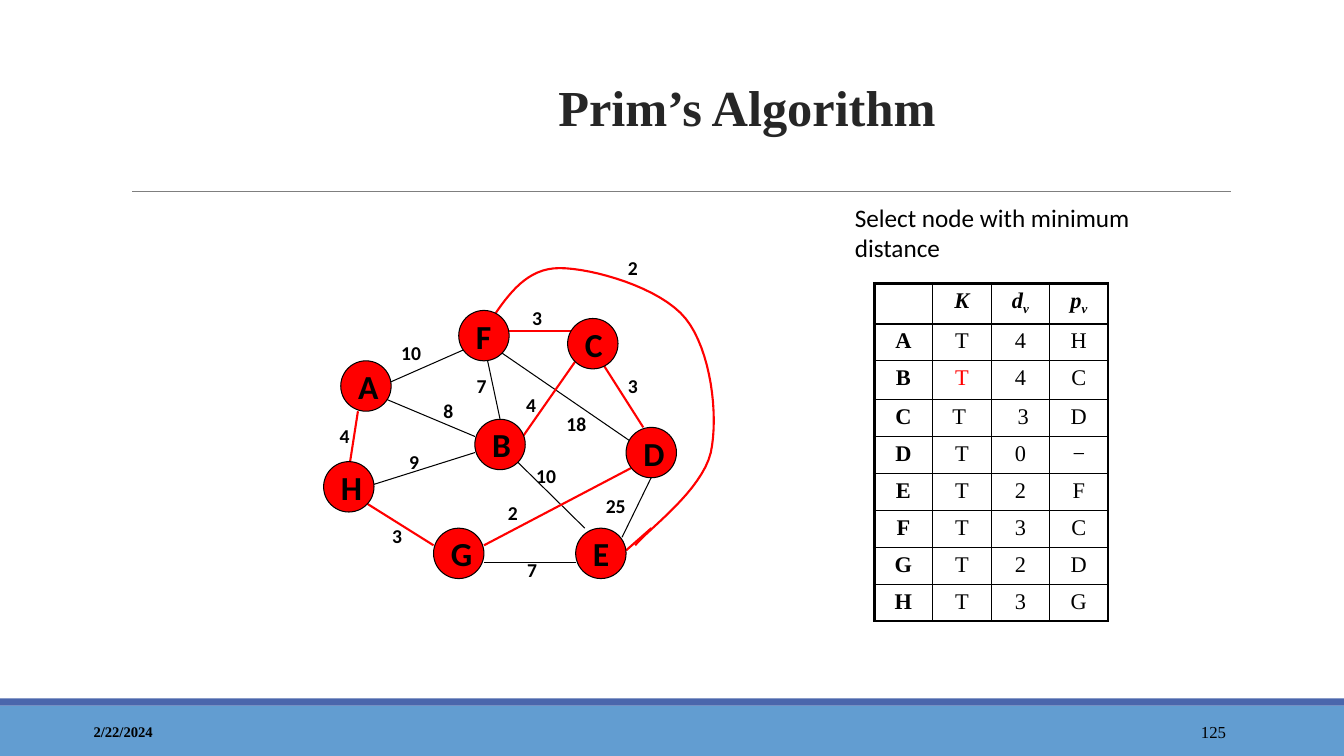
from dataclasses import dataclass

from lxml import etree
from pptx import Presentation
from pptx.dml.color import RGBColor
from pptx.enum.shapes import MSO_CONNECTOR, MSO_SHAPE
from pptx.enum.text import MSO_ANCHOR, PP_ALIGN
from pptx.oxml.ns import qn
from pptx.util import Inches, Pt

RECT, OVAL = MSO_SHAPE.RECTANGLE, MSO_SHAPE.OVAL
STRAIGHT = MSO_CONNECTOR.STRAIGHT
LEFT, CENTER, RIGHT = PP_ALIGN.LEFT, PP_ALIGN.CENTER, PP_ALIGN.RIGHT
TOP, MIDDLE, BOTTOM = MSO_ANCHOR.TOP, MSO_ANCHOR.MIDDLE, MSO_ANCHOR.BOTTOM


@dataclass(frozen=True)
class Theme:
    black: str = "000000"
    red: str = "FF0000"
    title: str = "262626"
    rule: str = "7F7F7F"
    footer: str = "629DD1"
    footer_edge: str = "4A66AC"
    serif: str = "Times New Roman"
    sans: str = "Calibri"
    title_size: float = 36
    node_size: float = 24
    note_size: float = 18
    table_size: float = 16
    weight_size: float = 14
    number_size: float = 12
    date_size: float = 10.5
    thin: float = 0.75
    tree: float = 1.5
    grid: float = 1
    frame: float = 2.25


THEME = Theme()
NODE = 0.5

# Left and top of each node
NODES = {
    "A": (3.38, 3.58), "H": (3.21, 4.58), "B": (4.71, 4.16), "F": (4.55, 3.08),
    "E": (5.71, 5.24), "D": (6.21, 4.24), "C": (5.63, 3.16), "G": (4.3, 5.24),
}

# x1, y1, x2, y2
PLAIN_EDGES = [
    (6.58, 4.49, 6.17, 5.33), (4.8, 3.41, 4.96, 4.16), (6.3, 4.41, 4.96, 3.49),
    (3.63, 4.83, 4.71, 4.49), (3.71, 3.91, 4.71, 4.33), (5.13, 4.58, 5.8, 5.24),
    (5.71, 5.58, 4.8, 5.58), (3.85, 3.8, 4.6, 3.47),
]
TREE_EDGES = [
    (5.13, 4.41, 5.71, 3.58), (4.8, 5.41, 6.38, 4.58), (3.46, 4.66, 3.55, 4.08),
    (5.01, 3.28, 5.8, 3.28), (5.96, 3.58, 6.38, 4.24), (4.3, 5.41, 3.63, 4.99),
    (6.46, 5.24, 6.21, 5.46),
]
# Start point, then two control points and an end point per segment
LOOP_START = (4.88, 3.16)
LOOP = [
    ((5.05, 2.91), (5.23, 2.66), (5.55, 2.66)),
    ((5.87, 2.66), (6.55, 2.85), (6.8, 3.16)),
    ((7.05, 3.47), (7.13, 4.12), (7.05, 4.49)),
    ((6.96, 4.87), (6.42, 5.26), (6.3, 5.41)),
]
WEIGHTS = [
    ("4", 3.27, 4.16), ("25", 5.91, 4.85), ("7", 5.13, 5.49), ("2", 4.94, 4.92),
    ("10", 5.22, 4.55), ("18", 5.52, 4.04), ("3", 6.13, 3.66), ("4", 5.12, 3.85),
    ("3", 5.18, 2.99), ("7", 4.63, 3.66), ("8", 4.3, 3.91), ("9", 3.96, 4.41),
    ("3", 3.79, 5.15), ("10", 3.88, 3.33), ("2", 6.13, 2.49),
]
# Header cells hold a symbol and its subscript
HEADER = [("", ""), ("K", ""), ("d", "v"), ("p", "v")]
ROWS = [
    ("A", "T", "4", "H"), ("B", "T", "4", "C"), ("C", "T ", " 3", "D"),
    ("D", "T", "0", "−"), ("E", "T", "2", "F"), ("F", "T", "3", "C"),
    ("G", "T", "2", "D"), ("H", "T", "3", "G"),
]
NEWEST = (2, 1)


def rgb(color):
    return RGBColor.from_string(color)


def set_font(font, size, name, color=THEME.black, bold=False, italic=False):
    font.size, font.name = Pt(size), name
    font.bold, font.italic = bold, italic
    font.color.rgb = rgb(color)


def add_text(s, text, x, y, w, h, size, name, color=THEME.black, bold=False,
             align=LEFT, anchor=TOP):
    tf = s.shapes.add_textbox(Inches(x), Inches(y), Inches(w), Inches(h)).text_frame
    tf.word_wrap, tf.vertical_anchor = True, anchor
    p = tf.paragraphs[0]
    p.text, p.alignment = text, align
    set_font(p.font, size, name, color, bold)
    return p


def add_shape(s, kind, x, y, w, h, fill):
    sp = s.shapes.add_shape(kind, Inches(x), Inches(y), Inches(w), Inches(h))
    sp.shadow.inherit = False
    sp.fill.solid()
    sp.fill.fore_color.rgb = rgb(fill)
    sp.line.fill.background()
    return sp


def add_line(s, x1, y1, x2, y2, color, width):
    c = s.shapes.add_connector(STRAIGHT, Inches(x1), Inches(y1), Inches(x2), Inches(y2))
    c.line.color.rgb, c.line.width = rgb(color), Pt(width)
    etree.SubElement(c._element.spPr, qn("a:effectLst"))


def add_node(s, name, x, y):
    sp = add_shape(s, OVAL, x, y, NODE, NODE, THEME.red)
    sp.line.color.rgb, sp.line.width = rgb(THEME.black), Pt(THEME.thin)
    tf = sp.text_frame
    tf.word_wrap, tf.vertical_anchor = True, MIDDLE
    p = tf.paragraphs[0]
    p.text, p.alignment = name, LEFT
    set_font(p.font, THEME.node_size, THEME.sans, bold=True)


def add_curve(s, start, segments, color, width, steps=16):
    points, p0 = [], start
    for p1, p2, p3 in segments:
        for t in (i / steps for i in range(1, steps + 1)):
            u = 1 - t
            points.append(tuple(
                Inches(u**3 * a + 3 * u * u * t * b + 3 * u * t * t * c + t**3 * d)
                for a, b, c, d in zip(p0, p1, p2, p3)))
        p0 = p3
    builder = s.shapes.build_freeform(Inches(start[0]), Inches(start[1]))
    builder.add_line_segments(points, close=False)
    sp = builder.convert_to_shape()
    sp.shadow.inherit = False
    sp.fill.background()
    sp.line.color.rgb, sp.line.width = rgb(color), Pt(width)


def set_borders(cell, widths):
    tc_pr = cell._tc.get_or_add_tcPr()
    for i, (side, width) in enumerate(widths.items()):
        ln = etree.Element(qn("a:ln" + side), w=str(Pt(width)))
        fill = etree.SubElement(ln, qn("a:solidFill"))
        etree.SubElement(fill, qn("a:srgbClr"), val=THEME.black)
        tc_pr.insert(i, ln)


def add_distance_table(s):
    n_rows, n_cols = len(ROWS) + 1, len(HEADER)
    table = s.shapes.add_table(n_rows, n_cols, Inches(8.67), Inches(2.81),
                               Inches(0.58 * n_cols), Inches(3.28)).table
    for col in table.columns:
        col.width = Inches(0.58)
    for i, row in enumerate(table.rows):
        row.height = Inches(0.38 if i == 2 else 0.36)
        for j, cell in enumerate(row.cells):
            cell.fill.background()
            p = cell.text_frame.paragraphs[0]
            p.alignment = CENTER
            texts = HEADER[j] if i == 0 else (ROWS[i - 1][j],)
            for k, text in enumerate(texts):
                if text:
                    r = p.add_run()
                    r.text = text
                    if k == 1:
                        r.font._element.set("baseline", "-25000")
            color = THEME.red if (i, j) == NEWEST else THEME.black
            set_font(p.font, THEME.table_size, THEME.serif, color,
                     bold=i == 0 or j == 0, italic=i == 0)
            outer = {"L": j == 0, "R": j == n_cols - 1, "T": i == 0, "B": i == n_rows - 1}
            set_borders(cell, {side: THEME.frame if edge else THEME.grid
                               for side, edge in outer.items()})


def add_graph(s):
    add_curve(s, LOOP_START, LOOP, THEME.red, THEME.tree)
    for edge in PLAIN_EDGES:
        add_line(s, *edge, THEME.black, THEME.thin)
    for edge in TREE_EDGES:
        add_line(s, *edge, THEME.red, THEME.tree)
    for name, (x, y) in NODES.items():
        add_node(s, name, x, y)
    for text, x, y in WEIGHTS:
        add_text(s, text, x, y, 0.33 if len(text) == 1 else 0.52, 0.33,
                 THEME.weight_size, THEME.sans, bold=True)


def main():
    prs = Presentation()
    prs.slide_width, prs.slide_height = Inches(13.33), Inches(7.5)
    s = prs.slides.add_slide(prs.slide_layouts[6])

    # Footer band and title rule
    add_shape(s, RECT, 0, 7, 13.33, 0.5, THEME.footer)
    add_shape(s, RECT, 0, 6.93, 13.33, 0.07, THEME.footer_edge)
    add_line(s, 1.31, 1.9, 12.21, 1.9, THEME.rule, THEME.thin)
    add_text(s, "2/22/2024", 0.83, 7.06, 3, 0.4, THEME.date_size, THEME.serif,
             bold=True, anchor=MIDDLE)
    add_text(s, "125", 10.83, 7.06, 1.43, 0.4, THEME.number_size, THEME.serif,
             align=RIGHT, anchor=MIDDLE)

    # Title and note
    title = add_text(s, "Prim’s Algorithm", 1.91, 0.34, 11, 1.06, THEME.title_size,
                     THEME.serif, THEME.title, True, CENTER, BOTTOM)
    title.line_spacing = 1.1
    add_text(s, "Select node with minimum distance", 8.38, 1.96, 3.17, 0.77,
             THEME.note_size, THEME.sans)

    # Distance table and weighted graph
    add_distance_table(s)
    add_graph(s)
    prs.save("out.pptx")


if __name__ == "__main__":
    main()
